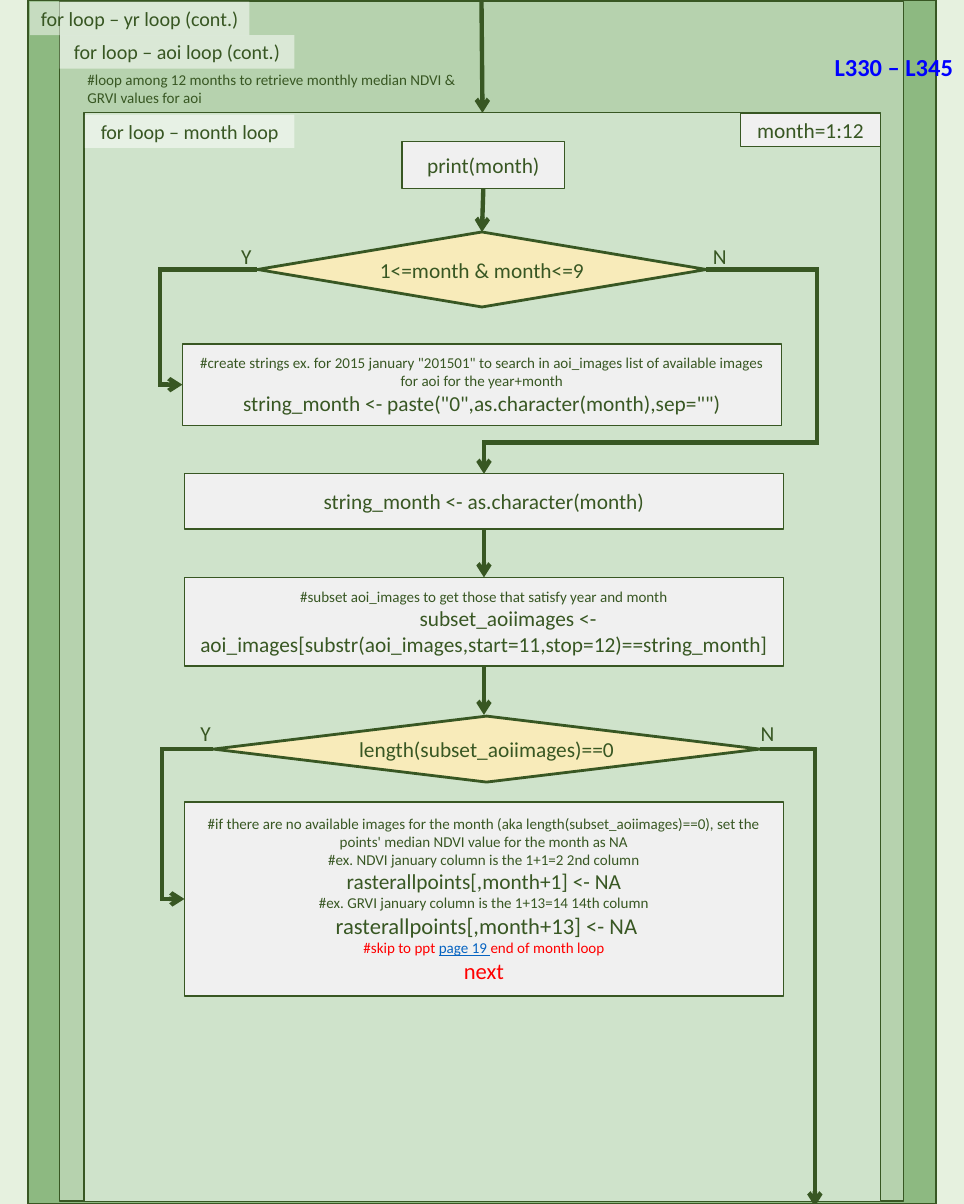
from lxml import etree
from pptx import Presentation
from pptx.dml.color import RGBColor
from pptx.enum import shapes, text
from pptx.oxml import ns
from pptx.util import Pt

COLORS = {
    "page": "E6F1DF", "year": "8DB981", "aoi": "B6D2AE", "month": "CFE3CB",
    "step": "F0F0F0", "choice": "F8EBBA", "ink": "385723", "label": "FFFFFF",
    "ref": "0000FF", "link": "0563C1", "skip": "FF0000",
}
RECT = shapes.MSO_SHAPE.RECTANGLE
STEP = shapes.MSO_SHAPE.FLOWCHART_PROCESS
CHOICE = shapes.MSO_SHAPE.FLOWCHART_DECISION
CENTER, LEFT = text.PP_ALIGN.CENTER, text.PP_ALIGN.LEFT
TOP, LEFT_SIDE, BOTTOM, RIGHT_SIDE = range(4)
STEP_W = 477.4


def rgb(name):
    """Return the named colour."""
    return RGBColor.from_string(COLORS[name])


def write(tf, *paras, size=17, color="ink", bold=False, align=CENTER):
    """Fill a frame with paragraphs, each a string or a list of (text, format) runs."""
    tf.word_wrap = True
    for i, para in enumerate(paras):
        p = tf.paragraphs[0] if i == 0 else tf.add_paragraph()
        p.alignment = align
        for words, fmt in [(para, {})] if isinstance(para, str) else para:
            r = p.add_run()
            r.text = words
            r.font.name = "Calibri"
            r.font.size = Pt(fmt.get("size", size))
            r.font.bold = bold
            r.font.underline = fmt.get("underline", False)
            r.font.color.rgb = rgb(fmt.get("color", color))


def block(s, kind, x, y, w, h, fill, *paras, line=1, size=17):
    """Add a filled shape with an outline and centred text."""
    sp = s.shapes.add_shape(kind, Pt(x), Pt(y), Pt(w), Pt(h))
    sp.shadow.inherit = False
    sp.fill.solid()
    sp.fill.fore_color.rgb = rgb(fill)
    if line:
        sp.line.color.rgb = rgb("ink")
        sp.line.width = Pt(line)
    else:
        sp.line.fill.background()
    write(sp.text_frame, *paras, size=size)
    return sp


def loop_label(s, x, y, w, words):
    """Add a half-transparent loop label."""
    sp = block(s, RECT, x, y, w, 26.6, "label", words, line=0, size=16)
    tint = sp._element.spPr.find(ns.qn("a:solidFill"))[0]
    etree.SubElement(tint, ns.qn("a:alpha"), val="50000")


def note(s, x, y, w, h, words, **fmt):
    """Add a plain text box."""
    tf = s.shapes.add_textbox(Pt(x), Pt(y), Pt(w), Pt(h)).text_frame
    write(tf, words, align=LEFT, **fmt)
    return tf


def answer(s, x, y, letter):
    """Add the letter beside a branch."""
    note(s, x, y, 24, 28, letter).word_wrap = False


def site(sp, side):
    """Return the middle of a side of a shape."""
    fx, fy = [(0.5, 0), (0, 0.5), (0.5, 1), (1, 0.5)][side]
    return int(sp.left + sp.width * fx), int(sp.top + sp.height * fy)


def arrow(s, start, side, end, end_side=None, bends=None):
    """Link a shape's side to a shape or point, turning at the given x and y."""
    a = site(start, side)
    b = end if end_side is None else site(end, end_side)
    kind = shapes.MSO_CONNECTOR.STRAIGHT if bends is None else shapes.MSO_CONNECTOR.ELBOW
    c = s.shapes.add_connector(kind, *a, *b)
    c.begin_connect(start, side)
    if end_side is not None:
        c.end_connect(end, end_side)
    c.line.color.rgb = rgb("ink")
    c.line.width = Pt(3.5)
    spPr = c._element.spPr
    ln = spPr.find(ns.qn("a:ln"))
    etree.SubElement(ln, ns.qn("a:miter"), lim="800000")
    etree.SubElement(ln, ns.qn("a:tailEnd"), type="arrow")
    etree.SubElement(spPr, ns.qn("a:effectLst"))
    if bends is not None:
        geom = spPr.find(ns.qn("a:prstGeom"))
        geom.set("prst", f"bentConnector{len(bends) + 2}")
        guides = geom.find(ns.qn("a:avLst"))
        for i, bend in enumerate(bends):
            ratio = (Pt(bend) - a[i]) / (b[i] - a[i])
            etree.SubElement(guides, ns.qn("a:gd"), name=f"adj{i + 1}",
                             fmla=f"val {round(ratio * 100000)}")


def loop_frames(s, x, y, w, h):
    """Draw the nested year, area and month loops."""
    block(s, RECT, x + 22.3, y, w - 44.65, h, "year", line=2.25)
    aoi = block(s, RECT, x + 47.5, y + 1.4, 672.5, h - 3.8, "aoi")
    loop_label(s, x + 47.5, y + 28.1, 187.2, "for loop – aoi loop (cont.)")
    loop_label(s, x + 23.8, y + 1.4, 175, "for loop – yr loop (cont.)")
    month = block(s, RECT, x + 67, y + 90, 635, h - 91.7, "month")
    arrow(s, aoi, TOP, month, TOP)
    loop_label(s, x + 67.7, y + 91.4, 167, "for loop – month loop")
    block(s, STEP, x + 590.4, y + 90, 111, 26.6, "step", "month=1:12", line=0.5)
    note(s, x + 658, y + 38.2, 111, 31, "L330 – L345", size=19.5, color="ref", bold=True)
    note(s, x + 62.6, y + 52.6, 309.6, 36,
         "#loop among 12 months to retrieve monthly median NDVI & GRVI values for aoi", size=12)


def month_string(s, x, y, w, h):
    """Draw the steps that build the month string and subset the images."""
    small = {"size": 12}
    shown = block(s, STEP, x + 193.4, y, 129.6, 37.4, "step", "print(month)")
    test = block(s, CHOICE, x + 78.2, y + 72, 357.8, 59.8, "choice",
                 "1<=month & month<=9", line=2.25)
    padded = block(
        s, STEP, x + 18.4, y + 161.3, STEP_W, 64.8, "step",
        [("#create strings ex. for 2015 january \"201501\" to search in aoi_images list of "
          "available images for aoi for the year+month", small)],
        "string_month <- paste(\"0\",as.character(month),sep=\"\")")
    plain = block(s, STEP, x + 20, y + 264.8, STEP_W, 44, "step",
                  "string_month <- as.character(month)")
    subset = block(
        s, STEP, x + 20, y + h - 70.6, STEP_W, 70.6, "step",
        [("#subset aoi_images to get those that satisfy year and month", small)],
        "          subset_aoiimages <- aoi_images[substr(aoi_images,start=11,stop=12)"
        "==string_month]")
    arrow(s, shown, BOTTOM, test, TOP)
    arrow(s, test, LEFT_SIDE, padded, LEFT_SIDE, [x + 0.5])
    arrow(s, test, RIGHT_SIDE, plain, TOP, [x + w, y + 239.8])
    arrow(s, plain, BOTTOM, subset, TOP)
    answer(s, x + 58, y + 77, "Y")
    answer(s, x + 434, y + 77, "N")
    return subset


def empty_check(s, x, y, w, h, subset):
    """Draw the check for a month without images."""
    small, red = {"size": 12}, {"size": 12, "color": "skip"}
    test = block(s, CHOICE, x + 43, y, 435.6, 52.6, "choice",
                 "length(subset_aoiimages)==0", line=2.25)
    missing = block(
        s, STEP, x + 20, y + 68.4, STEP_W, 154.8, "step",
        [("#if there are no available images for the month (aka length(subset_aoiimages)==0), "
          "set the points' median NDVI value for the month as NA", small)],
        [("#ex. NDVI january column is the 1+1=2 2nd column", small)],
        "rasterallpoints[,month+1] <- NA",
        [("#ex. GRVI january column is the 1+13=14 14th column", small)],
        [(" rasterallpoints[,month+13] <- NA", {"size": 18})],
        [("#skip to ppt ", red),
         ("page 19 ", {"size": 12, "color": "link", "underline": True}),
         ("end of month loop", red)],
        [("next", {"size": 18, "color": "skip"})])
    arrow(s, subset, BOTTOM, (site(subset, BOTTOM)[0], Pt(y - 1)))
    arrow(s, test, LEFT_SIDE, missing, LEFT_SIDE, [x + 2])
    arrow(s, test, RIGHT_SIDE, (Pt(x + w), Pt(y + h)), bends=[])
    answer(s, x + 25.6, y, "Y")
    answer(s, x + 472, y, "N")


def main():
    """Build the slide."""
    prs = Presentation()
    prs.slide_width, prs.slide_height = Pt(768.25), Pt(960)
    s = prs.slides.add_slide(prs.slide_layouts[6])
    s.background.fill.solid()
    s.background.fill.fore_color.rgb = rgb("page")
    loop_frames(s, 0, 0, 768.25, 960)
    subset = month_string(s, 127, 113, 524, 418)
    empty_check(s, 127, 571, 522.4, 391, subset)
    prs.save("out.pptx")


if __name__ == "__main__":
    main()
